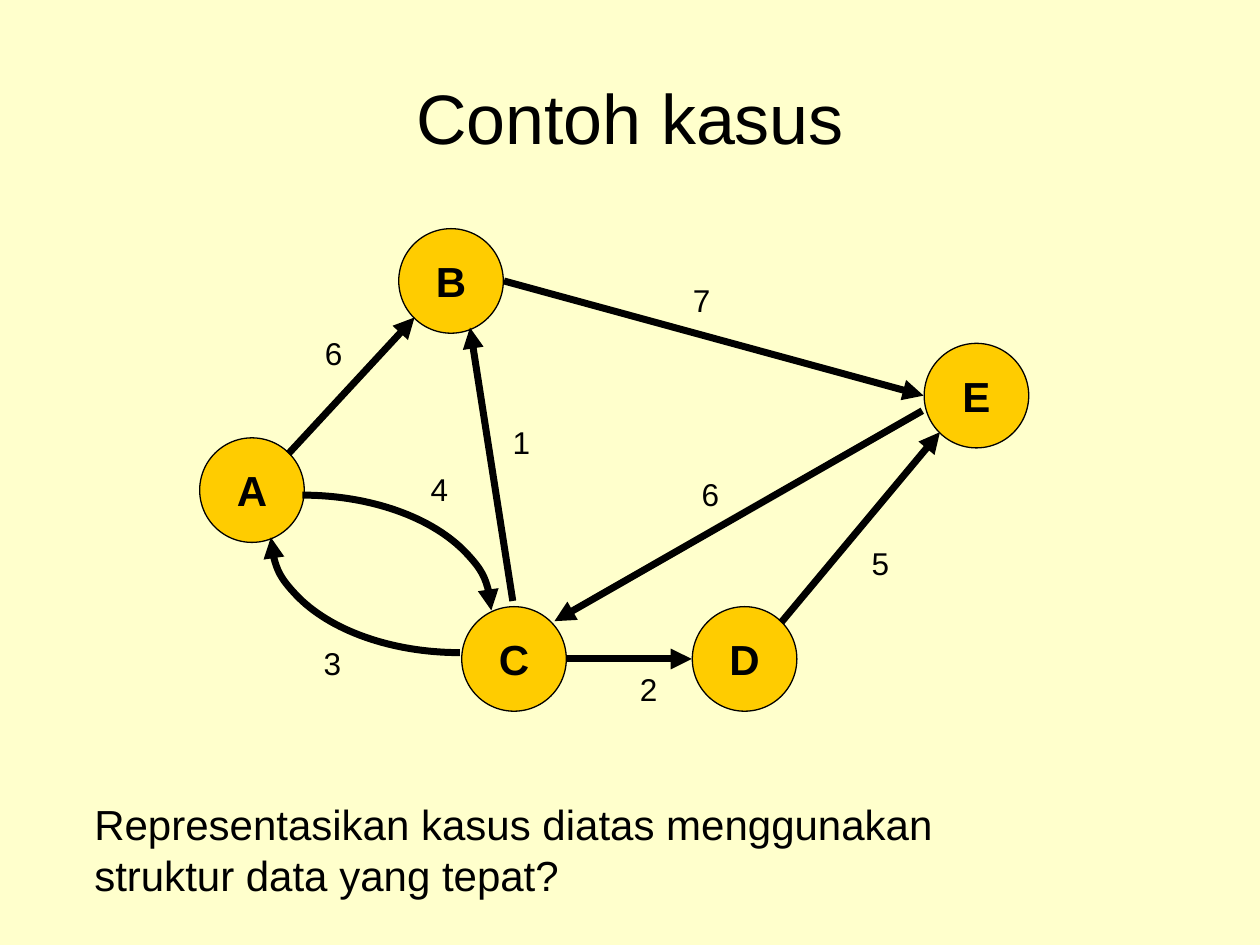
import pptx
import pptx.dml.color
import pptx.enum.shapes
import pptx.enum.text
import pptx.oxml
import pptx.util
from pptx.util import Inches

CREAM = pptx.dml.color.RGBColor(0xFF, 0xFF, 0xCC)
GOLD = pptx.dml.color.RGBColor(0xFF, 0xCC, 0x00)
BLACK = pptx.dml.color.RGBColor(0x00, 0x00, 0x00)

SHAPES = pptx.enum.shapes.MSO_SHAPE
ALIGN = pptx.enum.text.PP_ALIGN
ANCHOR = pptx.enum.text.MSO_ANCHOR

DIAMETER = 0.83
RIM = 0.42    # centre to side of a node
DIAGONAL = 0.29    # the same along each axis at 45 degrees

# Node centres, relative to the graph box
NODES = {"A": (0.42, 2.08), "B": (2.0, 0.42), "C": (2.5, 3.42),
         "D": (4.33, 3.42), "E": (6.17, 1.33)}

# Start node and offset from its centre, end node and offset
EDGES = [
    ("A", (DIAGONAL, -DIAGONAL), "B", (-DIAGONAL, DIAGONAL)),
    ("C", (RIM, 0), "D", (-RIM, 0)),
    ("D", (DIAGONAL, -DIAGONAL), "E", (-DIAGONAL, DIAGONAL)),
    ("B", (RIM, 0), "E", (-RIM, 0)),
    ("C", (-0.01, -0.46), "B", (0.15, 0.37)),
    ("E", (-0.43, 0.12), "C", (0.32, -0.3)),
]

# Left and top of the full ellipse, start and end angle in degrees
ARCS = [(-0.68, 2.12, 270, 0), (0.57, 1.54, 90, 180)]

# Edge weight, left, top
WEIGHTS = [("6", 0.9, 0.79), ("4", 1.74, 1.87), ("2", 3.4, 3.46),
           ("5", 5.24, 2.46), ("7", 3.82, 0.37), ("3", 0.89, 3.25),
           ("1", 2.39, 1.5), ("6", 3.89, 1.91)]


def write_text(shape, text, size, bold=False, align=ALIGN.LEFT,
               anchor=ANCHOR.TOP, wrap=True):
    frame = shape.text_frame
    frame.word_wrap = wrap
    frame.vertical_anchor = anchor
    paragraph = frame.paragraphs[0]
    paragraph.alignment = align
    run = paragraph.add_run()
    run.text = text
    run.font.name = "Arial"
    run.font.size = pptx.util.Pt(size)
    run.font.bold = bold
    run.font.color.rgb = BLACK


def add_text(slide, box, text, size, **options):
    shape = slide.shapes.add_textbox(*(Inches(length) for length in box))
    write_text(shape, text, size, **options)


def style_arrow(shape):
    shape.line.color.rgb = BLACK
    shape.line.width = pptx.util.Pt(4)
    line = shape.line._get_or_add_ln()
    pptx.oxml.ns  # namespace helper used below
    line.append(line.makeelement(pptx.oxml.ns.qn("a:tailEnd"), {"type": "triangle"}))


def add_node(slide, x, y, name):
    node = slide.shapes.add_shape(
        SHAPES.OVAL, Inches(x - DIAMETER / 2), Inches(y - DIAMETER / 2),
        Inches(DIAMETER), Inches(DIAMETER))
    node.shadow.inherit = False
    node.fill.solid()
    node.fill.fore_color.rgb = GOLD
    node.line.color.rgb = BLACK
    node.line.width = pptx.util.Pt(0.75)
    write_text(node, name, 24, bold=True, align=ALIGN.CENTER,
               anchor=ANCHOR.MIDDLE, wrap=False)


def add_edge(slide, start, end):
    edge = slide.shapes.add_connector(
        pptx.enum.shapes.MSO_CONNECTOR.STRAIGHT,
        *(Inches(length) for length in (*start, *end)))
    style_arrow(edge)
    properties = edge._element.spPr
    properties.append(properties.makeelement(pptx.oxml.ns.qn("a:effectLst"), {}))


def add_arc(slide, left, top, start_angle, end_angle):
    arc = slide.shapes.add_shape(
        SHAPES.ARC, Inches(left), Inches(top), Inches(3), Inches(1.83))
    arc.adjustments[0] = start_angle * 0.6
    arc.adjustments[1] = end_angle * 0.6
    arc.shadow.inherit = False
    arc.fill.background()
    style_arrow(arc)


def add_graph(slide, left, top):
    # Nodes
    for name, (x, y) in NODES.items():
        add_node(slide, left + x, top + y, name)

    # Straight and curved edges
    def point(name, offset):
        x, y = NODES[name]
        return left + x + offset[0], top + y + offset[1]

    for start, start_offset, end, end_offset in EDGES:
        add_edge(slide, point(start, start_offset), point(end, end_offset))
    for x, y, start_angle, end_angle in ARCS:
        add_arc(slide, left + x, top + y, start_angle, end_angle)

    # Edge weights
    for weight, x, y in WEIGHTS:
        add_text(slide, (left + x, top + y, 0.34, 0.4), weight, 18, wrap=False)


def main():
    presentation = pptx.Presentation()
    presentation.slide_width = Inches(10)
    presentation.slide_height = Inches(7.5)
    slide = presentation.slides.add_slide(presentation.slide_layouts[6])
    slide.background.fill.solid()
    slide.background.fill.fore_color.rgb = CREAM

    # Title, question and graph
    add_text(slide, (0.5, 0.3, 9, 1.25), "Contoh kasus", 40,
             align=ALIGN.CENTER, anchor=ANCHOR.MIDDLE)
    add_text(slide, (0.65, 6.29, 7.93, 0.9),
             "Representasikan kasus diatas menggunakan struktur data yang tepat?", 24)
    add_graph(slide, 1.58, 1.81)

    presentation.save("out.pptx")


if __name__ == "__main__":
    main()
